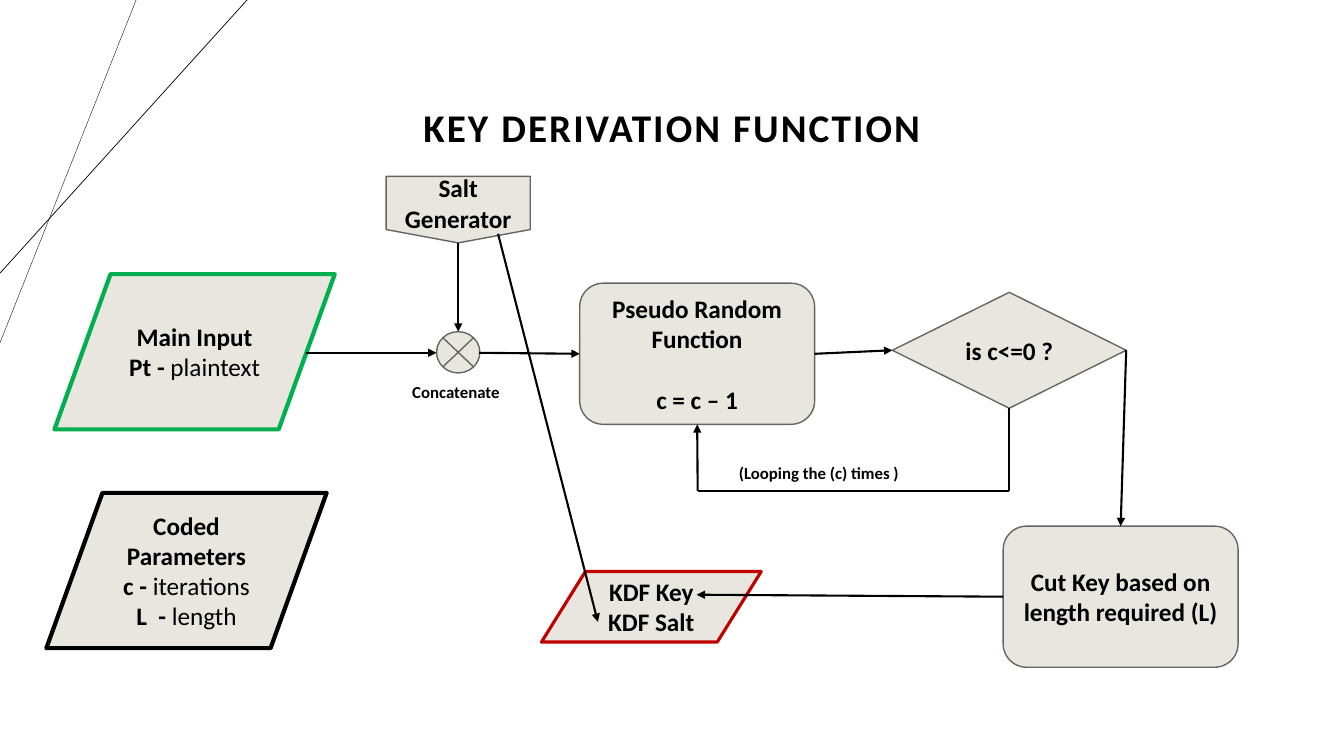
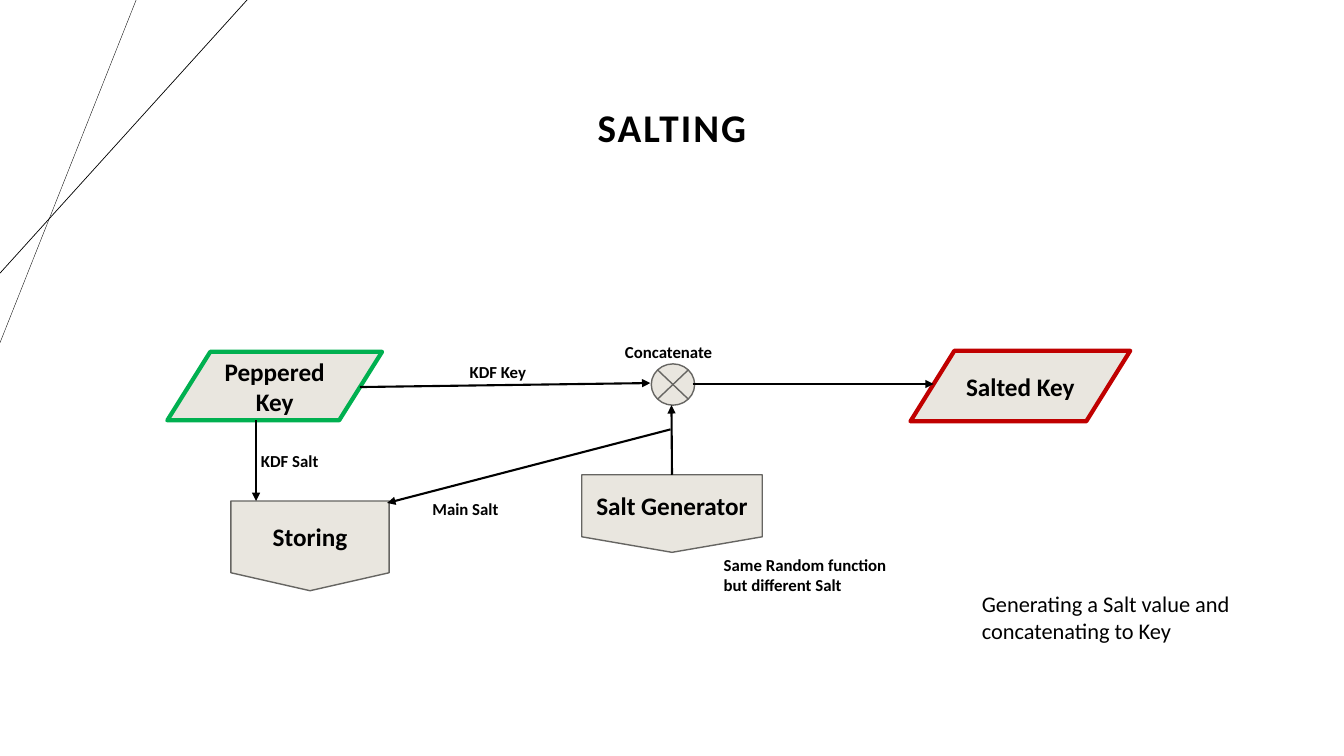
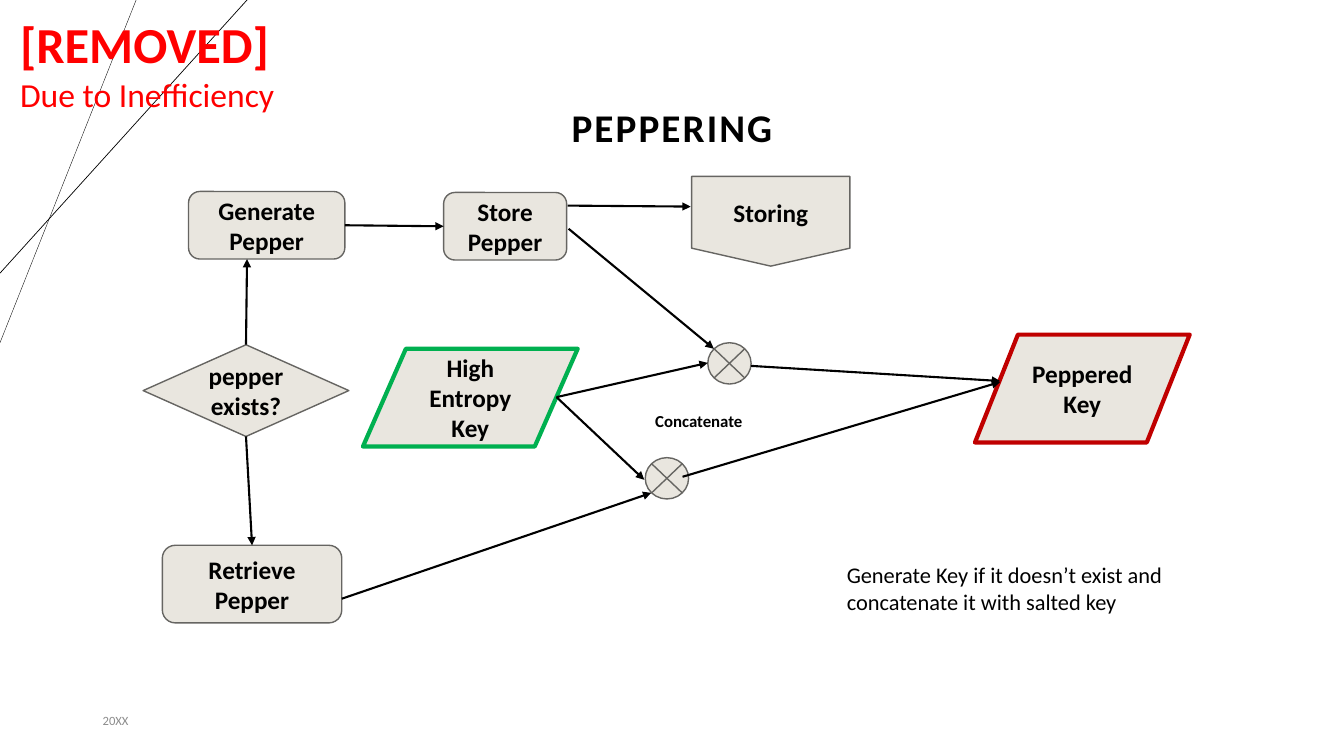
from dataclasses import dataclass
from typing import Any

from lxml.etree import SubElement
from pptx import Presentation
from pptx.dml.color import RGBColor
from pptx.enum.shapes import MSO_CONNECTOR, MSO_SHAPE
from pptx.enum.text import MSO_ANCHOR, MSO_AUTO_SIZE, PP_ALIGN
from pptx.oxml.ns import qn
from pptx.util import Inches, Pt

BLACK = RGBColor(0x00, 0x00, 0x00)
WHITE = RGBColor(0xFF, 0xFF, 0xFF)
STONE = RGBColor(0xE9, 0xE6, 0xDF)
GRAPHITE = RGBColor(0x66, 0x65, 0x62)
GREEN = RGBColor(0x00, 0xB0, 0x50)
DARK_RED = RGBColor(0xC0, 0x00, 0x00)
RED = RGBColor(0xFF, 0x00, 0x00)
FOOTER_GRAY = RGBColor(0x8C, 0x8C, 0x8C)

FONT = "Calibri"
TOP, LEFT, BOTTOM, RIGHT = range(4)

DATA = MSO_SHAPE.FLOWCHART_DATA
PROCESS = MSO_SHAPE.FLOWCHART_ALTERNATE_PROCESS
DECISION = MSO_SHAPE.FLOWCHART_DECISION
OFFPAGE = MSO_SHAPE.FLOWCHART_OFFPAGE_CONNECTOR
JUNCTION = MSO_SHAPE.FLOWCHART_SUMMING_JUNCTION
JUNCTION_SIZE = (0.43, 0.41)


def write_text(frame, *paragraphs, size=18, color=BLACK, bold=True,
               align=PP_ALIGN.LEFT, spacing=None):
    """Each paragraph is a string or a list of (text, format overrides) runs."""
    frame.word_wrap = True
    for index, content in enumerate(paragraphs):
        paragraph = frame.add_paragraph() if index else frame.paragraphs[0]
        paragraph.alignment = align
        runs = [(content, {})] if isinstance(content, str) else content
        for text, changes in runs:
            run = paragraph.add_run()
            run.text = text
            run.font.name = FONT
            run.font.size = Pt(changes.get("size", size))
            run.font.bold = changes.get("bold", bold)
            run.font.color.rgb = color
            if spacing:
                run.font._element.set("spc", str(spacing))


def draw_line(slide, begin, end, width=1.5, arrow=True):
    """Each end is an (x, y) point in inches or a (shape, side) pair."""
    points = [point if isinstance(point[0], (int, float)) else (0, 0)
              for point in (begin, end)]
    connector = slide.shapes.add_connector(
        MSO_CONNECTOR.STRAIGHT, *(Inches(value) for point in points for value in point))
    if points[0] is not begin:
        connector.begin_connect(*begin)
    if points[1] is not end:
        connector.end_connect(*end)
    connector.line.color.rgb = BLACK
    connector.line.width = Pt(width)
    if arrow:
        SubElement(connector.line._get_or_add_ln(), qn("a:tailEnd"), type="triangle")
    SubElement(connector.element.spPr, qn("a:effectLst"))
    return connector


@dataclass
class Region:
    slide: Any
    left: float
    top: float

    def place(self, x, y):
        return self.left + x, self.top + y

    def node(self, preset, x, y, width, height, *paragraphs, outline=GRAPHITE, weight=1):
        x, y = self.place(x, y)
        shape = self.slide.shapes.add_shape(
            preset, Inches(x), Inches(y), Inches(width), Inches(height))
        shape.shadow.inherit = False
        shape.fill.solid()
        shape.fill.fore_color.rgb = STONE
        shape.line.color.rgb = outline
        shape.line.width = Pt(weight)
        shape.text_frame.vertical_anchor = MSO_ANCHOR.MIDDLE
        if paragraphs:
            write_text(shape.text_frame, *paragraphs, align=PP_ALIGN.CENTER)
        return shape

    def junction(self, x, y):
        return self.node(JUNCTION, x, y, *JUNCTION_SIZE)

    def label(self, x, y, width, *paragraphs, height=0.3, size=12, **text_format):
        x, y = self.place(x, y)
        box = self.slide.shapes.add_textbox(
            Inches(x), Inches(y), Inches(width), Inches(height))
        box.text_frame.auto_size = MSO_AUTO_SIZE.SHAPE_TO_FIT_TEXT
        write_text(box.text_frame, *paragraphs, size=size, **text_format)
        return box

    def link(self, begin, end, arrow=True):
        begin, end = (self.place(*point) if isinstance(point[0], (int, float)) else point
                      for point in (begin, end))
        return draw_line(self.slide, begin, end, arrow=arrow)


def prepare_layout(layout):
    layout.background.fill.solid()
    layout.background.fill.fore_color.rgb = WHITE
    title = layout.placeholders[0]
    title.left, title.top = Inches(2.06), Inches(0.98)
    title.width, title.height = Inches(9.21), Inches(0.62)


def decorate_layout(layout, slide):
    corner_lines = [((1.35, 0), (0, 3.4), 0.25), ((2.45, 0), (0, 2.71), 0.5)]
    for number, (begin, end, width) in enumerate(corner_lines, start=101):
        connector = draw_line(slide, begin, end, width, arrow=False)
        connector.element.nvCxnSpPr.cNvPr.set("id", str(number))
        layout.shapes.element.append(connector.element)


def add_titled_slide(presentation, layout, title):
    slide = presentation.slides.add_slide(layout)
    frame = slide.shapes.title.text_frame
    frame.vertical_anchor = MSO_ANCHOR.MIDDLE
    write_text(frame, title, size=28, align=PP_ALIGN.CENTER, spacing=150)
    frame.paragraphs[0].line_spacing = 0.9
    return slide


def draw_key_derivation(region):
    plain = {"bold": False}
    salt = region.node(OFFPAGE, 3.43, 0.25, 1.43, 0.66, "Salt Generator")
    region.node(DATA, 0.14, 1.22, 2.78, 1.54, "Main Input",
                [("Pt - ", {}), ("plaintext", plain)], outline=GREEN, weight=3)
    function = region.node(PROCESS, 5.35, 1.31, 2.33, 1.4,
                           "Pseudo Random Function", "c = c – 1")
    function.text_frame.paragraphs[1].space_before = Pt(21.6)
    decision = region.node(DECISION, 8.45, 1.4, 2.32, 1.15, "is c<=0 ?")
    region.node(DATA, 4.97, 4.17, 2.18, 0.7, "KDF Key", "KDF Salt",
                outline=DARK_RED, weight=2.25)
    junction = region.junction(3.93, 1.79)
    cut = region.node(PROCESS, 9.55, 3.72, 2.33, 1.4, "Cut Key based on length required (L)")
    region.node(DATA, 0.06, 3.39, 2.78, 1.54, "Coded Parameters",
                [("c - ", {}), ("iterations", plain)],
                [("L  - ", {}), ("length", plain)], outline=BLACK, weight=3)

    loop_right, loop_left = (9.61, 3.37), (6.52, 3.37)
    region.link((2.64, 2), (3.93, 2))
    region.link((salt, BOTTOM), (junction, TOP))
    region.link((4.35, 2), (function, LEFT))
    region.link((function, RIGHT), (decision, LEFT))
    region.link((decision, RIGHT), (cut, TOP))
    region.link(loop_right, (decision, BOTTOM), arrow=False)
    region.link(loop_right, loop_left, arrow=False)
    region.link(loop_left, (function, BOTTOM))
    region.link((cut, LEFT), (6.51, 4.4))
    region.link((4.54, 0.82), (5.53, 4.67))

    region.label(3.59, 2.24, 1.15, "Concatenate")
    region.label(6.83, 3.04, 2.4, "(Looping the (c) times )")


def draw_salting(region):
    region.node(DATA, 0.16, 0.49, 2.13, 0.68, "Peppered Key", outline=GREEN, weight=3)
    region.node(DATA, 7.53, 0.48, 2.18, 0.7, "Salted Key", outline=DARK_RED, weight=3)
    region.junction(4.96, 0.61)
    region.node(OFFPAGE, 0.79, 1.97, 1.57, 0.89, "Storing")
    generator = region.node(OFFPAGE, 4.27, 1.71, 1.79, 0.77, "Salt Generator")

    region.link((2.07, 0.84), (4.95, 0.8))
    region.link((5.15, 1.26), (2.34, 1.99))
    region.link((5.37, 0.81), (7.76, 0.81))
    region.link((generator, TOP), (5.16, 1.02))
    region.link((1.04, 1.17), (1.04, 1.97))

    region.label(0.99, 1.42, 1.57, "KDF Salt")
    region.label(2.69, 1.9, 1.57, "Main Salt")
    region.label(3.06, 0.54, 1.57, "KDF Key")
    region.label(4.6, 0.34, 1.15, "Concatenate")
    region.label(5.58, 2.45, 1.97, "Same Random function but different Salt", height=0.5)
    region.label(8.14, 2.81, 3, "Generating a Salt value and concatenating to Key",
                 height=0.64, size=16, bold=False)


def draw_peppering(region):
    region.node(DATA, 2.6, 1.96, 2.13, 0.97, "High Entropy Key", outline=GREEN, weight=3)
    region.node(DATA, 8.67, 1.82, 2.13, 1.07, "Peppered Key", outline=DARK_RED, weight=3)
    region.junction(5.4, 3.04)
    region.junction(6.02, 1.9)
    decision = region.node(DECISION, 0.42, 1.92, 2.04, 0.91, "pepper exists?")
    retrieve = region.node(PROCESS, 0.61, 3.91, 1.78, 0.77, "Retrieve Pepper")
    generate = region.node(PROCESS, 0.87, 0.4, 1.55, 0.67, "Generate Pepper")
    store = region.node(PROCESS, 3.4, 0.41, 1.22, 0.67, "Store Pepper")
    region.node(OFFPAGE, 5.86, 0.25, 1.57, 0.89, "Storing")

    key_exit = (4.52, 2.44)
    region.link(key_exit, (5.39, 3.26))
    region.link(key_exit, (6.02, 2.1))
    region.link((5.77, 3.23), (8.92, 2.29))
    region.link((6.45, 2.13), (8.92, 2.28))
    region.link((2.39, 4.44), (5.46, 3.39))
    region.link((decision, BOTTOM), (retrieve, TOP))
    region.link((decision, TOP), (1.45, 1.07))
    region.link((generate, RIGHT), (store, LEFT))
    region.link((4.64, 0.77), (6.08, 1.96))
    region.link((4.63, 0.54), (5.85, 0.55))

    region.label(5.4, 2.53, 1.15, "Concatenate")
    region.label(7.3, 4.02, 3.42,
                 "Generate Key if it doesn’t exist and concatenate it with salted key",
                 height=0.91, size=16, bold=False)


def draw_removed_notice(region):
    region.label(0, 0, 2.95, "[REMOVED]",
                 [("Due to Inefficiency", {"size": 24, "bold": False})],
                 height=1.11, size=36, color=RED)


def draw_date(region):
    box = region.label(0, 0, 3, "20XX", height=0.4, size=9, color=FOOTER_GRAY, bold=False)
    box.text_frame.auto_size = MSO_AUTO_SIZE.NONE
    box.text_frame.vertical_anchor = MSO_ANCHOR.MIDDLE


def main():
    presentation = Presentation()
    presentation.slide_width = Inches(13.33)
    presentation.slide_height = Inches(7.5)
    layout = presentation.slide_layouts[5]
    prepare_layout(layout)

    derivation = add_titled_slide(presentation, layout, "KEY DERIVATION FUNCTION")
    decorate_layout(layout, derivation)
    draw_key_derivation(Region(derivation, 0.4, 1.5))

    salting = add_titled_slide(presentation, layout, "SALTING")
    draw_salting(Region(salting, 1.5, 3))

    peppering = add_titled_slide(presentation, layout, "PEPPERING")
    draw_peppering(Region(peppering, 1, 1.5))
    draw_date(Region(peppering, 0.92, 6.95))
    draw_removed_notice(Region(peppering, 0.1, 0.08))

    presentation.save("out.pptx")


if __name__ == "__main__":
    main()
